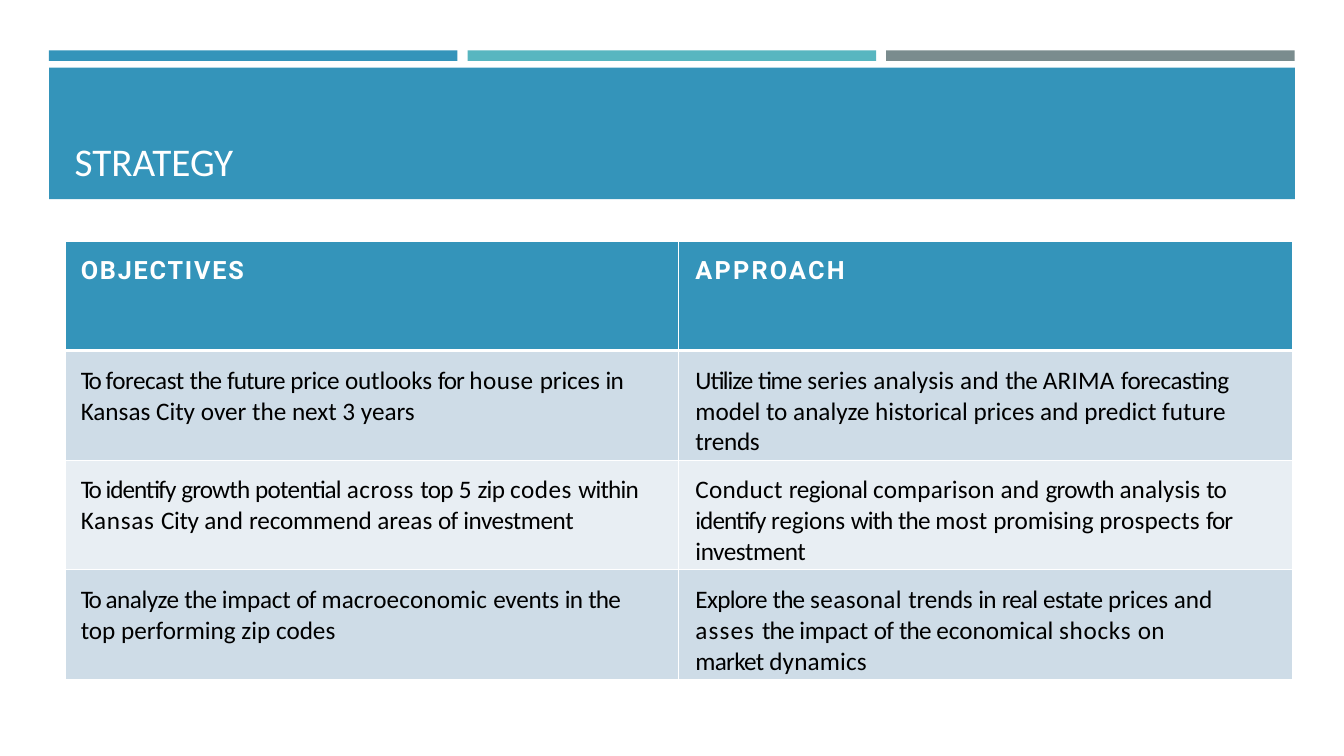
import itertools

import pptx
import pptx.dml.color
import pptx.enum.shapes
import pptx.enum.text
import pptx.oxml
import pptx.oxml.ns
import pptx.util

Pt = pptx.util.Pt
RGBColor = pptx.dml.color.RGBColor

BLUE = RGBColor(0x34, 0x94, 0xBA)
TEAL = RGBColor(0x58, 0xB6, 0xC0)
GREY = RGBColor(0x7A, 0x8C, 0x8E)
DARK_ROW = RGBColor(0xCE, 0xDC, 0xE7)
LIGHT_ROW = RGBColor(0xE8, 0xEE, 0xF3)
WHITE = RGBColor(0xFF, 0xFF, 0xFF)
BLACK = RGBColor(0, 0, 0)

TITLE = "STRATEGY"
HEADERS = [("OBJECTIVES", [1.3]), ("APPROACH", [1.6])]
ROWS = [
    (
        [
            ("To forecast the future price outlooks for house prices in",
             [-1.5, -0.3, -0.6, -0.7, -0.3, -0.1, -0.8, 0.3, -0.1, -0.4]),
            ("Kansas City over the next 3 years", []),
        ],
        [
            ("Utilize time series analysis and the ARIMA forecasting",
             [-0.7, -0.6, 0.1, 0.1, 0.1, -0.6, 0.2, -0.3]),
            ("model to analyze historical prices and predict future", []),
            ("trends", [-0.2]),
        ],
    ),
    (
        [
            ("To identify growth potential across top 5 zip codes within",
             [-1.5, -0.7, -0.6, -0.5, 0.4, -0.5, 0.1, -0.5, 0.4, -0.6]),
            ("Kansas City and recommend areas of investment",
             [0.5, -0.3, 0.1, -0.1, 0, -0.5, -0.3]),
        ],
        [
            ("Conduct regional comparison and growth analysis to",
             [0.2, -0.4, 0.1, 0.1, -0.6, 0.1, -0.7]),
            ("identify regions with the most promising prospects for",
             [-0.7, -0.1, -0.7, -0.6, 0.1, -0.1, 0.1, -0.8]),
            ("investment", [-0.3]),
        ],
    ),
    (
        [
            ("To analyze the impact of macroeconomic events in the",
             [-1.5, -0.3, -0.6, -0.2, -0.5, 0.1, -0.2, -0.4, -0.6]),
            ("top performing zip codes", []),
        ],
        [
            ("Explore the seasonal trends in real estate prices and",
             [-0.5, -0.6, 0.3, -0.2, -0.4, -0.6, -0.4, -0.1, 0]),
            ("asses the impact of the economical shocks on",
             [0.8, -0.6, -0.2, -0.5, -0.6, 0, 0.5, 0.1]),
            ("market dynamics", [-0.5, 0.1]),
        ],
    ),
]

BAR_LEFT, BAR_TOP, BAR_WIDTH, BAR_HEIGHT, BAR_STEP = 35, 36, 291.8, 7.5, 299
TABLE_LEFT, TABLE_TOP, COLUMN_WIDTH, ROW_HEIGHT = 46.4, 172.1, 438.4, 78.3
CELL_INDENTS = (11.3, 12)


def add_bar(page, left, top, width, height, color):
    bar = page.shapes.add_shape(
        pptx.enum.shapes.MSO_SHAPE.RECTANGLE, Pt(left), Pt(top), Pt(width), Pt(height))
    bar.shadow.inherit = False
    bar.fill.solid()
    bar.fill.fore_color.rgb = color
    bar.line.fill.background()


def add_borders(cell, bottom_width):
    properties = cell._tc.get_or_add_tcPr()
    for side, width in (("L", 1), ("R", 1), ("T", 1), ("B", bottom_width)):
        properties.append(pptx.oxml.parse_xml(
            f'<a:ln{side} {pptx.oxml.ns.nsdecls("a")} w="{Pt(width)}">'
            f'<a:solidFill><a:srgbClr val="{WHITE}"/></a:solidFill></a:ln{side}>'))


def write_lines(para, lines, font_name, color, bold):
    for number, (line, spacings) in enumerate(lines):
        if number:
            para.add_line_break()
        words = line.split()
        for index, (word, spacing) in enumerate(
                itertools.zip_longest(words, spacings, fillvalue=0)):
            span = para.add_run()
            span.text = word if index == len(words) - 1 else word + " "
            span.font.name = font_name
            span.font.size = Pt(18)
            span.font.bold = bold
            span.font.color.rgb = color
            span._r.get_or_add_rPr().set("spc", str(round(spacing * 100)))


def fill_cell(cell, lines, indent, fill, is_header):
    cell.margin_left, cell.margin_top = Pt(indent), Pt(10.6)
    cell.margin_right = cell.margin_bottom = 0
    add_borders(cell, 3 if is_header else 1)
    cell.fill.solid()
    cell.fill.fore_color.rgb = fill
    para = cell.text_frame.paragraphs[0]
    if is_header:
        write_lines(para, lines, "Roboto", WHITE, True)
    else:
        write_lines(para, lines, "Calibri", BLACK, False)


def add_title(page):
    title = page.shapes.title
    title.left, title.top, title.width, title.height = Pt(46.1), Pt(55.4), Pt(868), Pt(80)
    title.text_frame.text = TITLE
    title.text_frame.vertical_anchor = pptx.enum.text.MSO_ANCHOR.BOTTOM
    para = title.text_frame.paragraphs[0]
    para.alignment = pptx.enum.text.PP_ALIGN.LEFT
    font = para.runs[0].font
    font.name, font.size, font.color.rgb = "Calibri", Pt(28), WHITE
    title.element.getparent().append(title.element)


def add_strategy_table(page):
    rows = [[[header] for header in HEADERS]] + ROWS
    table = page.shapes.add_table(
        len(rows), len(HEADERS), Pt(TABLE_LEFT), Pt(TABLE_TOP),
        Pt(COLUMN_WIDTH * len(HEADERS)), Pt(ROW_HEIGHT * len(rows))).table
    for column in table.columns:
        column.width = Pt(COLUMN_WIDTH)
    for row_number, row in enumerate(rows):
        table.rows[row_number].height = Pt(ROW_HEIGHT)
        band = DARK_ROW if row_number % 2 else LIGHT_ROW
        fill = band if row_number else BLUE
        for column_number, lines in enumerate(row):
            fill_cell(table.cell(row_number, column_number), lines,
                      CELL_INDENTS[column_number], fill, row_number == 0)


def main():
    deck = pptx.Presentation()
    deck.slide_width, deck.slide_height = Pt(960), Pt(540)
    page = deck.slides.add_slide(deck.slide_layouts[5])
    for number, color in enumerate((BLUE, TEAL, GREY)):
        add_bar(page, BAR_LEFT + number * BAR_STEP, BAR_TOP, BAR_WIDTH, BAR_HEIGHT, color)
    add_bar(page, BAR_LEFT, 48.4, 890, 93.8, BLUE)
    add_title(page)
    add_strategy_table(page)
    deck.save("out.pptx")


if __name__ == "__main__":
    main()
